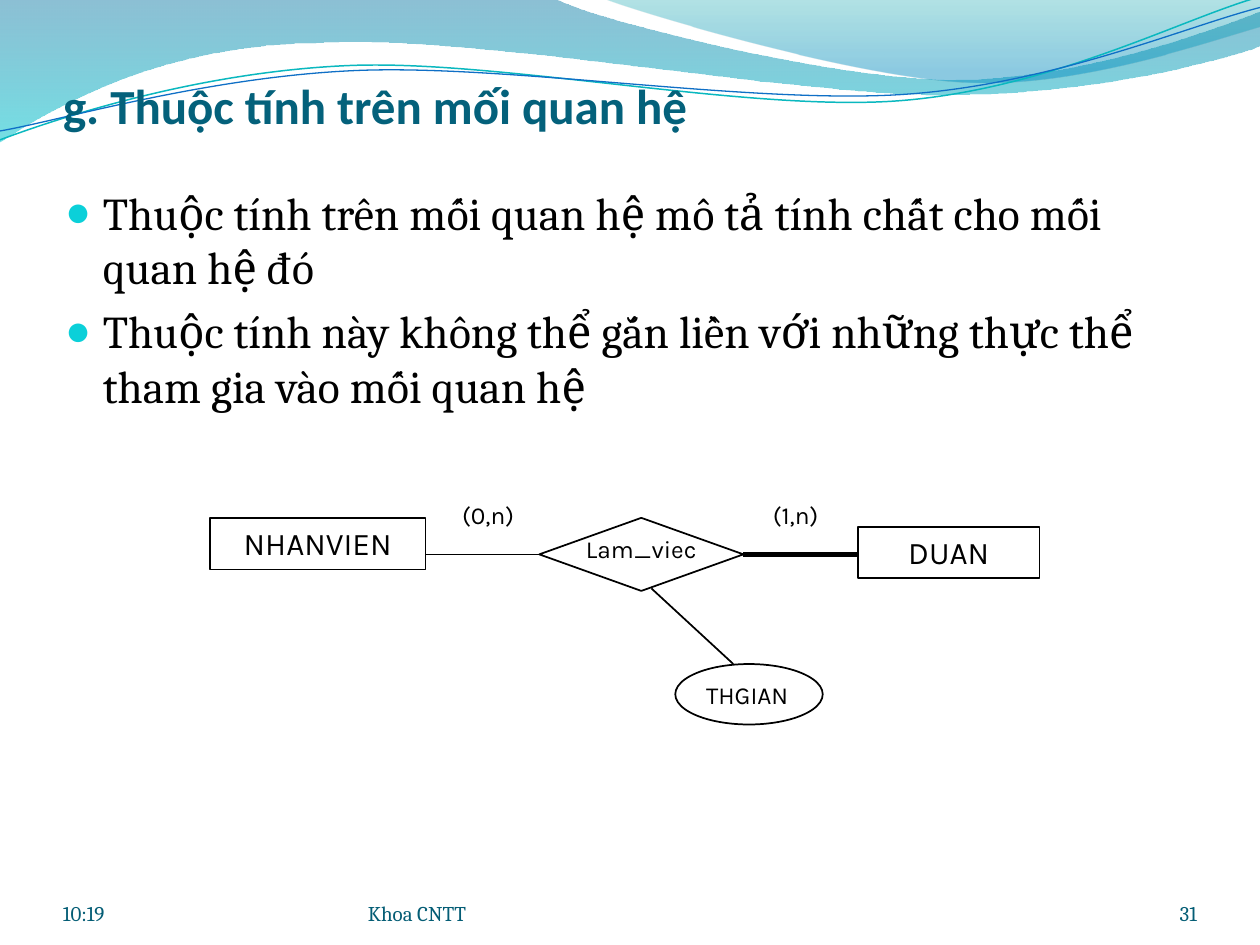
import math

from lxml import etree
from pptx import Presentation, util as u
from pptx.dml.color import RGBColor
from pptx.enum import shapes, text
from pptx.oxml.ns import qn

MODULE = u.Inches(1)  # square grid: 10 columns by 7.5 rows
COLUMNS, ROWS = 10, 7.5
LINE_TILT = -2.7
COLORS = {
    "title": "04617B", "footer": "045D75", "ink": "000000", "bullet": "0BD0D9",
    "deep": "0074A1", "cyan": "00C6CF", "teal": "00A1A9", "blue": "008BBF",
    "teal line": "0AB8BF", "blue line": "0F6FC6",
}

# Waves: a start point, then line ends (one point) or curves (three points)
BROAD_WAVE = [
    [(0, -0.01)], [(4.4, -0.01)],
    [(4.76, 0.17), (6.64, 0.63), (7.58, 0.63)], [(8.53, 0.63), (9.58, 0.26), (10, 0.09)],
    [(10.01, 0.36)],
    [(9.83, 0.44), (8.7, 0.76), (7.46, 0.75)], [(6.22, 0.75), (3.82, 0.28), (2.57, 0.34)],
    [(1.29, 0.35), (0.46, 0.83), (-0.01, 1.13)], [(0, -0.01)],
]
RIGHT_WAVE = [
    [(4.79, -0.01)],
    [(5.09, 0.11), (6.82, 0.62), (7.69, 0.65)], [(8.56, 0.69), (9.61, 0.32), (10, 0.21)],
    [(10, 0)], [(4.79, -0.01)],
]
TEAL_LINE = [
    [(0, 1.11)],
    [(0.48, 0.93), (1.58, 0.57), (2.77, 0.52)], [(3.95, 0.47), (5.93, 0.89), (7.13, 0.8)],
    [(8.33, 0.71), (9.38, 0.15), (9.98, -0.02)],
]
BLUE_LINE = [
    [(0, 1.04)],
    [(0.47, 0.96), (1.64, 0.61), (2.83, 0.56)], [(4.03, 0.51), (5.97, 0.83), (7.17, 0.75)],
    [(8.36, 0.67), (9.41, 0.21), (10, 0.06)],
]


def grid(*lengths):
    return [round(length * MODULE) for length in lengths]


def rgb(name):
    return RGBColor.from_string(COLORS[name])


def style(paragraph, size, font, color, bold=False, align=text.PP_ALIGN.LEFT):
    paragraph.alignment = align
    paragraph.font.size = u.Pt(size)
    paragraph.font.name = font
    paragraph.font.bold = bold
    paragraph.font.color.rgb = rgb(color)


def outline(line, color="ink", width=1):
    line.color.rgb = rgb(color)
    line.width = u.Pt(width)


def level(route, center):
    """Turn a tilted route back to level about its center."""
    cos, sin = math.cos(math.radians(-LINE_TILT)), math.sin(math.radians(-LINE_TILT))
    cx, cy = center
    return [[(cx + (x - cx) * cos - (y - cy) * sin, cy + (x - cx) * sin + (y - cy) * cos)
             for x, y in step] for step in route]


def add_wave(slide, route, closed):
    """Draw a freeform, joining each step of three points into one Bezier curve."""
    start, *rest = [grid(*point) for step in route for point in step]
    builder = slide.shapes.build_freeform(*start)
    builder.add_line_segments(rest, close=closed)
    wave = builder.convert_to_shape()
    wave.shadow.inherit = False
    segments = iter(wave._element.spPr.findall(".//" + qn("a:lnTo")))
    for step in route[1:]:
        curve = next(segments)
        if len(step) == 3:
            curve.tag_holder = None
            bezier = etree.Element(qn("a:cubicBezTo"))
            curve.addprevious(bezier)
            for segment in (curve, next(segments), next(segments)):
                bezier.append(segment[0])
                segment.getparent().remove(segment)
    return wave


def add_filled_wave(slide, route, stops):
    """Draw a wave with a top-down gradient of (position, color, opacity) stops."""
    wave = add_wave(slide, route, closed=True)
    wave.line.fill.background()
    wave.fill.gradient()
    wave.fill.gradient_angle = 270
    tints = wave._element.spPr.findall(".//" + qn("a:gs"))
    for stop, tint, (position, color, opacity) in zip(wave.fill.gradient_stops, tints, stops):
        stop.position = position
        stop.color.rgb = rgb(color)
        etree.SubElement(tint[0], qn("a:alpha"), val=str(opacity * 1000))


def add_line_wave(slide, route, center, color, width):
    wave = add_wave(slide, level(route, center), closed=False)
    wave.rotation = LINE_TILT
    wave.fill.background()
    outline(wave.line, color, width)


def add_title(slide, wording):
    title = slide.shapes.title
    slide.shapes._spTree.append(title._element)  # in front of the waves
    title.left, title.top, title.width, title.height = grid(0.5, 0.39, 9, 0.68)
    frame = title.text_frame
    frame.text = wording
    frame.auto_size = text.MSO_AUTO_SIZE.NONE
    frame.vertical_anchor = text.MSO_ANCHOR.BOTTOM
    frame.margin_left = frame.margin_right = frame.margin_bottom = 0
    style(frame.paragraphs[0], 28, "Calibri", "title", bold=True)


def add_bullet(paragraph):
    properties = paragraph._p.get_or_add_pPr()
    indent = u.Inches(0.3)
    properties.set("marL", str(indent))
    properties.set("indent", str(-indent))
    tint = etree.SubElement(properties, qn("a:buClr"))
    etree.SubElement(tint, qn("a:srgbClr"), val=COLORS["bullet"])
    etree.SubElement(properties, qn("a:buSzPct"), val="95000")
    etree.SubElement(properties, qn("a:buChar"), char="●")


def add_body(slide, points):
    body = slide.placeholders[1]
    slide.shapes._spTree.append(body._element)
    body.left, body.top, body.width, body.height = grid(5 / 12, 17 / 12, 110 / 12, 67 / 12)
    frame = body.text_frame
    frame.text = "\n".join(points)
    frame.auto_size = text.MSO_AUTO_SIZE.NONE
    for number, paragraph in enumerate(frame.paragraphs):
        add_bullet(paragraph)
        paragraph.space_before = u.Pt(5.2 if number else 0)
        style(paragraph, 26, "Cambria", "ink")


def write_centered(shape, wording, size):
    frame = shape.text_frame
    frame.word_wrap = True
    frame.auto_size = text.MSO_AUTO_SIZE.SHAPE_TO_FIT_TEXT
    frame.vertical_anchor = text.MSO_ANCHOR.TOP
    frame.text = wording
    style(frame.paragraphs[0], size, "Karla", "ink", align=text.PP_ALIGN.CENTER)


def add_node(slide, preset, *box):
    node = slide.shapes.add_shape(preset, *grid(*box))
    node.shadow.inherit = False
    node.fill.background()
    outline(node.line)
    return node


def add_entity(slide, name, *box):
    entity = add_node(slide, shapes.MSO_SHAPE.RECTANGLE, *box)
    write_centered(entity, name, 18)


def add_label(slide, wording, left, top, width):
    label = slide.shapes.add_textbox(*grid(left, top, width, 0.33))
    write_centered(label, wording, 14)


def add_link(slide, start, end, width=1):
    link = slide.shapes.add_connector(shapes.MSO_CONNECTOR.STRAIGHT, *grid(*start, *end))
    outline(link.line, width=width)
    etree.SubElement(link._element.spPr, qn("a:effectLst"))
    return link


def add_footer(slide, wording, left, width, align=text.PP_ALIGN.LEFT):
    footer = slide.shapes.add_textbox(*grid(left, 6.95, width, 0.4))
    frame = footer.text_frame
    frame.word_wrap = True
    frame.margin_left = frame.margin_right = frame.margin_top = frame.margin_bottom = 0
    frame.vertical_anchor = text.MSO_ANCHOR.BOTTOM
    frame.text = wording
    style(frame.paragraphs[0], 12, "Cambria", "footer", align=align)


def add_diagram(slide):
    add_entity(slide, "NHANVIEN", 5 / 3, 4.11, 1.71, 0.41)
    add_entity(slide, "DUAN", 6.81, 4.18, 1.44, 0.41)
    relationship = add_node(slide, shapes.MSO_SHAPE.FLOWCHART_DECISION, 4.28, 4.11, 1.62, 0.58)
    add_label(slide, "Lam_viec", 4.46, 4.19, 1.26)
    add_label(slide, "(0,n)", 3.47, 3.92, 0.81)
    add_label(slide, "(1,n)", 5.91, 3.92, 0.81)
    add_link(slide, (3.38, 4.4), (4.28, 4.4)).end_connect(relationship, 1)
    add_link(slide, (5.9, 4.4), (6.81, 4.4), width=3.25).begin_connect(relationship, 3)
    add_node(slide, shapes.MSO_SHAPE.OVAL, 5.36, 5.27, 1.17, 0.48)
    add_label(slide, "THGIAN", 5.39, 5.35, 1.08)
    add_link(slide, (5.17, 4.67), (5.82, 5.27))


def main():
    deck = Presentation()
    deck.slide_width, deck.slide_height = grid(COLUMNS, ROWS)
    slide = deck.slides.add_slide(deck.slide_layouts[1])
    add_filled_wave(slide, BROAD_WAVE, [(0, "deep", 45), (1, "cyan", 55)])
    add_filled_wave(slide, RIGHT_WAVE, [(0, "teal", 30), (0.8, "blue", 45)])
    add_line_wave(slide, TEAL_LINE, (4.99, 0.58), "teal line", 0.85)
    add_line_wave(slide, BLUE_LINE, (5, 0.59), "blue line", 0.75)
    add_title(slide, "g. Thuộc tính trên mối quan hệ")
    add_body(slide, [
        "Thuộc tính trên mối quan hệ mô tả tính chất cho mối quan hệ đó",
        "Thuộc tính này không thể gắn liền với những thực thể tham gia vào mối quan hệ",
    ])
    add_footer(slide, "31", 8.67, 0.83, text.PP_ALIGN.RIGHT)
    add_diagram(slide)
    add_footer(slide, "10:19", 0.5, 2.33)
    add_footer(slide, "Khoa CNTT", 2.92, 3.67)
    deck.save("out.pptx")


if __name__ == "__main__":
    main()
